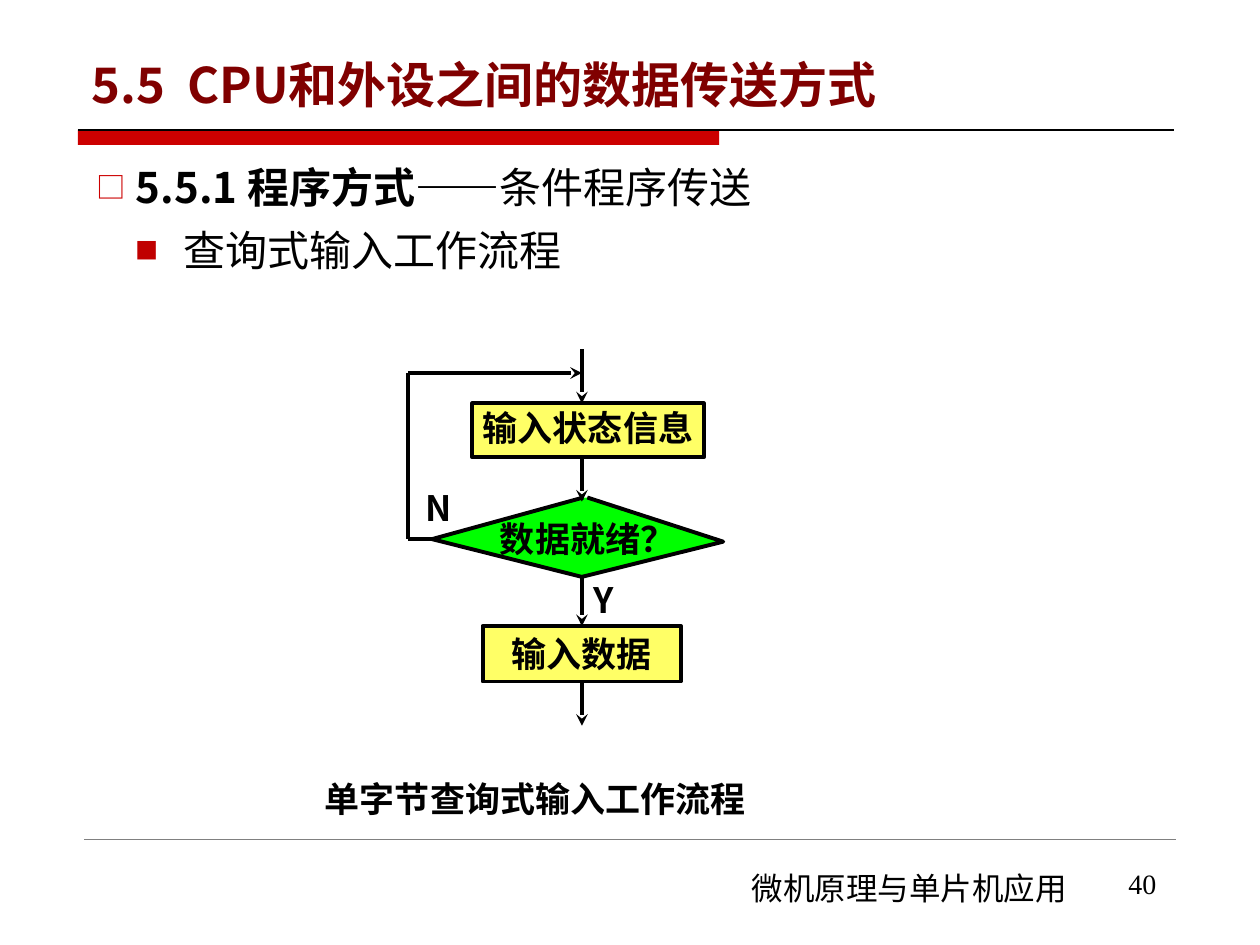
from lxml import etree
from pptx import Presentation
from pptx import util as u
from pptx.dml.color import RGBColor
from pptx.enum import shapes, text
from pptx.oxml.ns import qn

THEME = {
    "sans": "Noto Sans CJK SC", "label": "Noto Sans CJK KR", "serif": "Times New Roman",
    "black": "000000", "title": "800000", "bar": "CC0000", "bullet": "C00000",
    "box": "FFFF66", "diamond": "00FF00", "grey": "808080",
    "title_pt": 28, "body_pt": 24, "label_pt": 20, "footer_pt": 18, "number_pt": 16,
    "flow_pt": 2.25, "rule_pt": 0.75, "hair_pt": 0.25,
}

AXIS = 11.73
LOOP_X, LOOP_TOP, LOOP_BOTTOM = 8.23, 7.52, 10.87

TITLE = ("5.5  CPU和外设之间的数据传送方式", (1.6, 0.53, 22.22, 1.88))
FOOTERS = [
    ("微机原理与单片机应用", (14.91, 17.4, 7.01, 1.02), "sans", "footer_pt"),
    ("40", (22.5, 17.35, 2.01, 1.32), "serif", "number_pt"),
]
BODY_BOX = (1.7, 2.92, 22.1, 13.69)
BODY = [
    {"runs": [("5.5.1 程序方式——", True), ("条件程序传送", False)], "left": 0.79, "hang": 0.79,
     "spacing": 1.2, "before": 5, "bullet": "□", "color": "bar", "percent": 70},
    {"runs": [("查询式输入工作流程", False)], "left": 1.75, "hang": 0.96,
     "spacing": 1.25, "before": 0, "bullet": "■", "color": "bullet", "percent": 55},
]
STEPS = [
    ("输入状态信息", (9.52, 8.13, 4.67, 1.09), (0.05, 0.03, 0.05, 0.13)),
    ("输入数据", (AXIS - 2, 12.62, 4, 1.12), (0.25, 0.13, 0.25, 0.13)),
]
DIAMOND = [(11.76, 10.03), (8.71, 10.87), (AXIS, 11.63), (14.58, 10.92), (11.84, 10.03)]
LABELS = [
    ("数据就绪？", (9.83, 10.31, 4.8, 1.09), True),
    ("单字节查询式输入工作流程", (6.3, 15.54, 10.87, 1.09), True),
    ("N", (8.33, 9.68, 1.02, 1.09), False),
    ("Y", (11.71, 11.53, 0.99, 1.09), False),
]
DOWN_ARROWS = [(7.04, 8.13), (9.22, 10.11), (11.63, 12.62), (13.74, 14.63)]
LOOP = [
    ((LOOP_X, LOOP_TOP), (AXIS, LOOP_TOP), True),
    ((LOOP_X, LOOP_TOP), (LOOP_X, LOOP_BOTTOM), False),
    ((LOOP_X, LOOP_BOTTOM), (8.81, LOOP_BOTTOM), False),
]


def cm(values):
    return [u.Cm(v) for v in values]


def rgb(name):
    return RGBColor.from_string(THEME[name])


def style(p, font, size, color="black", bold=False):
    p.font.name, p.font.size, p.font.bold = THEME[font], u.Pt(THEME[size]), bold
    p.font.color.rgb = rgb(color)
    props = p._p.get_or_add_pPr().find(qn("a:defRPr"))
    latin = props.find(qn("a:latin"))
    east = etree.Element(qn("a:ea"), typeface=THEME[font])
    latin.addnext(east)


def add_text(slide, words, box, font, size, color="black", bold=False, wrap=True, grow=True):
    sp = slide.shapes.add_textbox(*cm(box))
    tf = sp.text_frame
    tf.word_wrap = wrap
    if grow:
        tf.auto_size = text.MSO_AUTO_SIZE.SHAPE_TO_FIT_TEXT
    p = tf.paragraphs[0]
    p.text = words
    style(p, font, size, color, bold)
    return tf


def paint(sp, fill, line=None):
    sp.shadow.inherit = False
    sp.fill.solid()
    sp.fill.fore_color.rgb = rgb(fill)
    if line:
        sp.line.color.rgb = rgb(line)
        sp.line.width = u.Pt(THEME["flow_pt"])
    else:
        sp.line.fill.background()


def add_line(slide, start, end, color="black", width="flow_pt", arrow=False):
    line = slide.shapes.add_connector(shapes.MSO_CONNECTOR.STRAIGHT, *cm(start + end))
    line.line.color.rgb = rgb(color)
    line.line.width = u.Pt(THEME[width])
    if arrow:
        etree.SubElement(line.line._get_or_add_ln(), qn("a:tailEnd"), type="stealth")
    etree.SubElement(line._element.spPr, qn("a:effectLst"))
    return line


def add_body(slide):
    tf = slide.shapes.add_textbox(*cm(BODY_BOX)).text_frame
    tf.word_wrap = True
    for i, item in enumerate(BODY):
        p = tf.add_paragraph() if i else tf.paragraphs[0]
        p.level, p.line_spacing, p.space_before = i, item["spacing"], u.Pt(item["before"])
        props = p._p.get_or_add_pPr()
        props.set("marL", str(u.Cm(item["left"])))
        props.set("indent", str(-u.Cm(item["hang"])))
        color = etree.SubElement(props, qn("a:buClr"))
        etree.SubElement(color, qn("a:srgbClr"), val=THEME[item["color"]])
        etree.SubElement(props, qn("a:buSzPct"), val=str(item["percent"] * 1000))
        etree.SubElement(props, qn("a:buFont"), typeface=THEME["sans"])
        etree.SubElement(props, qn("a:buChar"), char=item["bullet"])
        style(p, "sans", "body_pt")
        for words, bold in item["runs"]:
            r = p.add_run()
            r.text, r.font.bold = words, bold


def add_step(slide, words, box, insets):
    sp = slide.shapes.add_shape(shapes.MSO_SHAPE.RECTANGLE, *cm(box))
    paint(sp, "box", "black")
    tf = sp.text_frame
    tf.margin_left, tf.margin_top, tf.margin_right, tf.margin_bottom = cm(insets)
    tf.vertical_anchor = text.MSO_ANCHOR.MIDDLE
    p = tf.paragraphs[0]
    p.text, p.alignment = words, text.PP_ALIGN.CENTER
    style(p, "label", "label_pt", bold=True)
    return sp


def main():
    """Build the slide on the query-driven input flow."""
    prs = Presentation()
    prs.slide_width, prs.slide_height = cm((25.4, 19.05))
    slide = prs.slides.add_slide(prs.slide_layouts[6])

    bar = slide.shapes.add_shape(shapes.MSO_SHAPE.RECTANGLE, *cm((1.57, 2.62, 12.93, 0.3)))
    paint(bar, "bar")
    add_line(slide, (1.57, 2.62), (23.67, 2.62), width="rule_pt")
    add_line(slide, (1.7, 16.92), (23.7, 16.92), "grey", "hair_pt")

    tf = add_text(slide, *TITLE, "sans", "title_pt", "title", True, grow=False)
    tf.vertical_anchor = text.MSO_ANCHOR.BOTTOM
    for words, box, font, size in FOOTERS:
        add_text(slide, words, box, font, size)
    add_body(slide)

    steps = [add_step(slide, *step) for step in STEPS]
    points = [tuple(cm(point)) for point in DIAMOND]
    outline = slide.shapes.build_freeform(*points[0])
    outline.add_line_segments(points[1:], close=False)
    paint(outline.convert_to_shape(), "diamond", "black")
    for words, box, wrap in LABELS:
        add_text(slide, words, box, "label", "label_pt", bold=True, wrap=wrap)

    arrows = [add_line(slide, (AXIS, top), (AXIS, end), arrow=True) for top, end in DOWN_ARROWS]
    arrows[2].end_connect(steps[1], 0)
    arrows[3].begin_connect(steps[1], 2)
    for start, end, arrow in LOOP:
        add_line(slide, start, end, arrow=arrow)

    prs.save("out.pptx")


if __name__ == "__main__":
    main()
